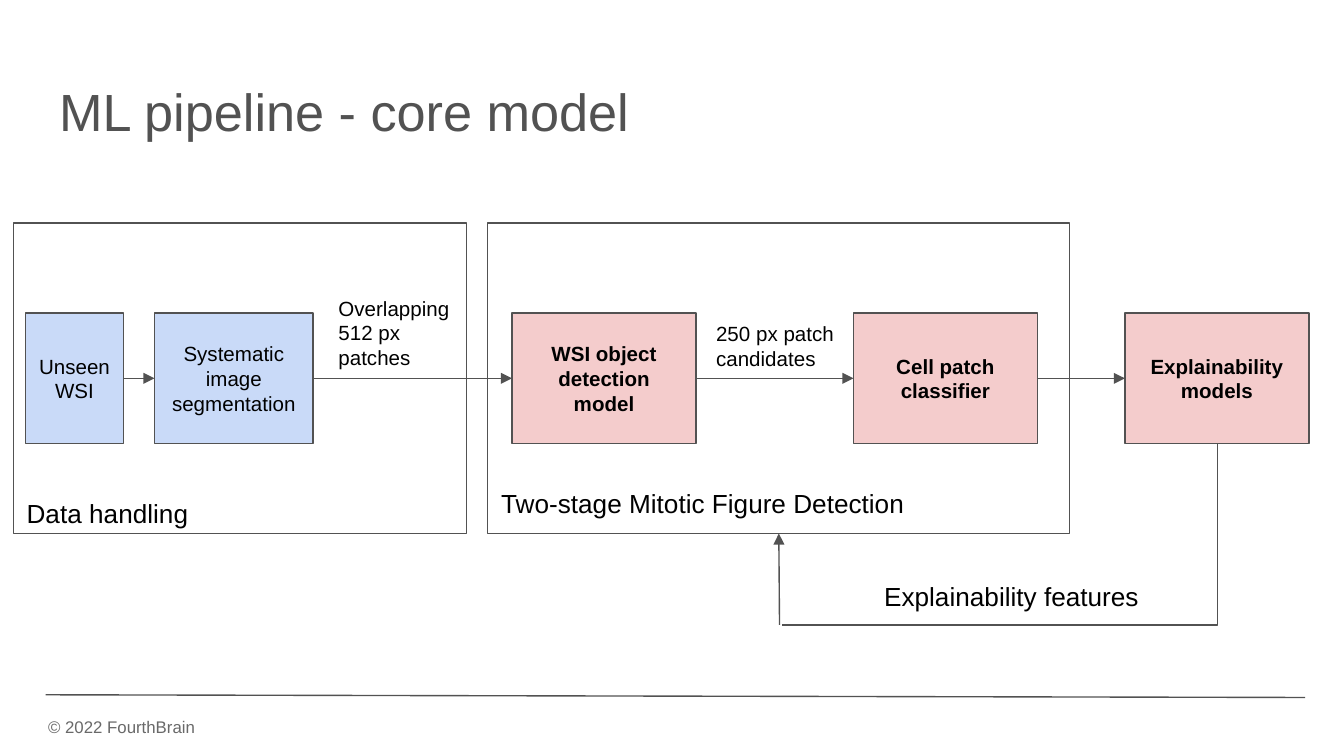
from dataclasses import dataclass
from itertools import pairwise

from lxml import etree
from pptx import Presentation
from pptx import util as u
from pptx.dml.color import RGBColor
from pptx.enum import shapes, text
from pptx.oxml import ns

TOP, LEFT, BOTTOM, RIGHT = range(4)


@dataclass(frozen=True)
class Theme:
    font: str = "Arial"
    ink: str = "000000"
    grey: str = "525252"
    muted: str = "696969"
    data: str = "C9DAF8"
    model: str = "F4CCCC"
    title_size: float = 28
    group_size: float = 14
    step_size: float = 11
    footer_size: float = 9
    stroke: float = 0.75
    inset: float = 0.1


class SlideBuilder:
    COLUMNS, ROWS = 100, 56.25

    def __init__(self, deck, theme):
        self.theme = theme
        self.column = deck.slide_width / self.COLUMNS
        self.row = deck.slide_height / self.ROWS
        self.slide = deck.slides.add_slide(deck.slide_layouts[5])

    def place(self, left, top, width, height):
        return (round(left * self.column), round(top * self.row),
                round(width * self.column), round(height * self.row))

    def set_words(self, frame, words, size, color, bold=False,
                  align=text.PP_ALIGN.LEFT, anchor=text.MSO_ANCHOR.TOP,
                  fit=text.MSO_AUTO_SIZE.NONE):
        frame.text = words
        frame.word_wrap = True
        frame.auto_size = fit
        frame.vertical_anchor = anchor
        inset = u.Inches(self.theme.inset)
        frame.margin_left = frame.margin_right = inset
        frame.margin_top = frame.margin_bottom = inset
        paragraph = frame.paragraphs[0]
        paragraph.alignment = align
        font = paragraph.font
        font.name, font.size, font.bold = self.theme.font, u.Pt(size), bold
        font.color.rgb = RGBColor.from_string(color)

    def stroke(self, line):
        line.color.rgb = RGBColor.from_string(self.theme.grey)
        line.width = u.Pt(self.theme.stroke)

    def title(self, words, *cells):
        title = self.slide.shapes.title
        title.left, title.top, title.width, title.height = self.place(*cells)
        self.set_words(title.text_frame, words, self.theme.title_size, self.theme.grey)

    def label(self, words, size, *cells, color=None,
              fit=text.MSO_AUTO_SIZE.SHAPE_TO_FIT_TEXT):
        box = self.slide.shapes.add_textbox(*self.place(*cells))
        self.set_words(box.text_frame, words, size, color or self.theme.ink, fit=fit)

    def frame(self, *cells):
        box = self.slide.shapes.add_shape(
            shapes.MSO_SHAPE.RECTANGLE, *self.place(*cells))
        box.shadow.inherit = False
        box.fill.background()
        self.stroke(box.line)
        return box

    def step(self, words, fill, bold, *cells):
        box = self.frame(*cells)
        box.fill.solid()
        box.fill.fore_color.rgb = RGBColor.from_string(fill)
        self.set_words(box.text_frame, words, self.theme.step_size, self.theme.ink,
                       bold, text.PP_ALIGN.CENTER, text.MSO_ANCHOR.MIDDLE)
        return box

    def line(self, *ends, kind=shapes.MSO_CONNECTOR.STRAIGHT, arrow=False):
        connector = self.slide.shapes.add_connector(kind, *self.place(*ends))
        self.stroke(connector.line)
        etree.SubElement(connector._element.spPr, ns.qn("a:effectLst"))
        if arrow:
            etree.SubElement(connector.line._get_or_add_ln(),
                             ns.qn("a:tailEnd"), type="triangle")
        return connector

    def elbow(self, *ends):
        connector = self.line(*ends, kind=shapes.MSO_CONNECTOR.ELBOW)
        guides = connector._element.spPr.find(ns.qn("a:prstGeom")).get_or_add_avLst()
        etree.SubElement(guides, ns.qn("a:gd"), name="adj1", fmla="val 0")

    def link(self, source, target):
        arrow = self.line(0, 0, 1, 1, arrow=True)
        arrow.begin_connect(source, RIGHT)
        arrow.end_connect(target, LEFT)


def main():
    deck = Presentation()
    deck.slide_width, deck.slide_height = u.Inches(10), u.Inches(5.625)
    theme = Theme()
    page = SlideBuilder(deck, theme)

    page.title("ML pipeline - core model", 3.4, 4.9, 93.2, 6.3)
    page.line(3.4, 51.7, 97.1, 51.9)
    page.label("© 2022 FourthBrain", theme.footer_size, 2.6, 52.3, 21.4, 3.1,
               color=theme.muted, fit=text.MSO_AUTO_SIZE.NONE)

    group_top, group_height = 16.6, 23.1
    page.frame(1, group_top, 33.7, group_height)
    detection = page.frame(36.3, group_top, 43.3, group_height)

    step_top, step_height = 23.3, 9.7
    steps = [
        page.step(words, fill, fill == theme.model, left, step_top, width, step_height)
        for words, fill, left, width in (
            ("Unseen WSI", theme.data, 1.9, 7.3),
            ("Systematic image segmentation", theme.data, 11.5, 11.8),
            ("WSI object detection model", theme.model, 38.1, 13.7),
            ("Cell patch classifier", theme.model, 63.5, 13.7),
            ("Explainability models", theme.model, 83.7, 13.7),
        )
    ]
    for source, target in pairwise(steps):
        page.link(source, target)

    for words, size, *cells in (
        ("Overlapping 512 px patches", theme.step_size, 24.2, 21, 11.3, 7.6),
        ("250 px patch candidates", theme.step_size, 52.3, 22.9, 11.3, 5.7),
        ("Data handling", theme.group_size, 1, 36, 17.7, 4.4),
        ("Two-stage Mitotic Figure Detection", theme.group_size, 36.3, 35.3, 34.9, 4.4),
        ("Explainability features", theme.group_size, 64.8, 42.2, 21.5, 4.4),
    ):
        page.label(words, size, *cells)

    feedback_row = 46.5
    page.elbow(90.6, step_top + step_height, 58.2, feedback_row)
    feedback = page.line(58, feedback_row, 58, group_top + group_height, arrow=True)
    feedback.end_connect(detection, BOTTOM)

    deck.save("out.pptx")


if __name__ == "__main__":
    main()
